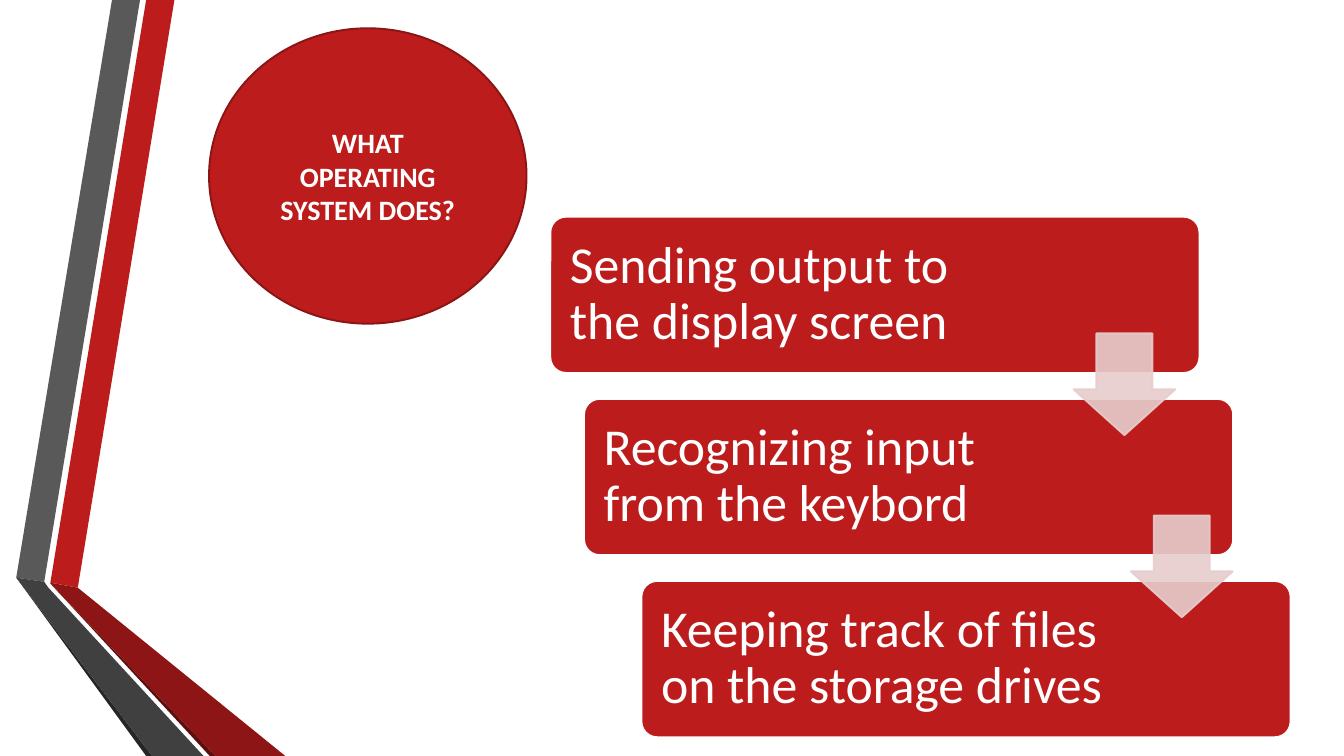
import pptx
import pptx.dml.color
import pptx.enum.shapes
import pptx.enum.text
import pptx.oxml.ns
import pptx.util
from lxml import etree

Pt = pptx.util.Pt
RGBColor = pptx.dml.color.RGBColor
MSO_SHAPE = pptx.enum.shapes.MSO_SHAPE
MIDDLE = pptx.enum.text.MSO_ANCHOR.MIDDLE
CENTER = pptx.enum.text.PP_ALIGN.CENTER

RED = RGBColor(0xBC, 0x1C, 0x1C)
OUTLINE_RED = RGBColor(0x8B, 0x15, 0x15)
DARK_RED = RGBColor(0x8D, 0x15, 0x15)
DEEP_RED = RGBColor(0x5E, 0x0E, 0x0E)
GRAY = RGBColor(0x59, 0x59, 0x59)
DARK_GRAY = RGBColor(0x40, 0x40, 0x40)
DEEP_GRAY = RGBColor(0x26, 0x26, 0x26)
PINK = RGBColor(0xE7, 0xCD, 0xCD)
WHITE = RGBColor(0xFF, 0xFF, 0xFF)

deck = pptx.Presentation()
deck.slide_width, deck.slide_height = Pt(960), Pt(540)
slide = deck.slides.add_slide(deck.slide_layouts[6])
shapes = slide.shapes


def add_filled(kind, left, top, width, height, fill, line):
    shape = shapes.add_shape(kind, Pt(left), Pt(top), Pt(width), Pt(height))
    shape.shadow.inherit = False
    shape.fill.solid()
    shape.fill.fore_color.rgb = fill
    shape.line.color.rgb = line
    shape.line.width = Pt(1.35)
    return shape


def add_white_run(paragraph, text, size, bold=False):
    run = paragraph.add_run()
    run.text = text
    run.font.name = "Calibri"
    run.font.size = Pt(size)
    run.font.bold = bold
    run.font.color.rgb = WHITE


# Folded ribbons along the left edge
ribbons = [
    (RED, [(36, 416.2), (55.6, 419.8), (124.6, 0), (104.4, 0)]),
    (GRAY, [(100, 0), (80, 0), (11.6, 412.6), (31.6, 415.6)]),
    (DEEP_GRAY, [(11.6, 412.6), (104.4, 540), (108.7, 540)]),
    (DEEP_RED, [(36, 416.8), (149.8, 540), (154, 540)]),
    (DARK_RED, [(36, 416.8), (154, 540), (203.8, 540), (55.6, 419.8), (36, 416.2)]),
    (DARK_GRAY, [(145.4, 540), (34.6, 419.8), (31.6, 415.6), (11.6, 412.6), (108.7, 540)]),
]
for color, corners in ribbons:
    start, *others = [(Pt(x), Pt(y)) for x, y in corners]
    outline = shapes.build_freeform(*start)
    outline.add_line_segments(others, close=True)
    ribbon = outline.convert_to_shape()
    ribbon.shadow.inherit = False
    ribbon.fill.solid()
    ribbon.fill.fore_color.rgb = color
    ribbon.line.fill.background()

# Question in the circle
circle = add_filled(MSO_SHAPE.OVAL, 149.3, 20.2, 226.8, 211, RED, OUTLINE_RED)
circle.text_frame.word_wrap = True
circle.text_frame.vertical_anchor = MIDDLE
question = circle.text_frame.paragraphs[0]
question.alignment = CENTER
add_white_run(question, "WHAT OPERATING SYSTEM DOES?", 20, bold=True)

# Staggered steps
FIRST_TOP, STEP_PITCH = 154.8, 130.1
steps = [
    (393.1, "Sending output to the display screen"),
    (417.2, "Recognizing input from the keybord"),
    (458.2, "Keeping track of files on the storage drives"),
]
for index, (left, wording) in enumerate(steps):
    top = FIRST_TOP + index * STEP_PITCH
    box = add_filled(MSO_SHAPE.ROUNDED_RECTANGLE, left, top, 463.7, 111.6, RED, WHITE)
    box.adjustments[0] = 0.1
    label = shapes.add_textbox(Pt(left + 3.2), Pt(top + 3.2), Pt(343.2), Pt(105.1))
    frame = label.text_frame
    frame.word_wrap = True
    frame.vertical_anchor = MIDDLE
    frame.margin_left = frame.margin_right = Pt(10.8)
    frame.margin_top = frame.margin_bottom = Pt(10.8)
    frame.paragraphs[0].line_spacing = 0.9
    add_white_run(frame.paragraphs[0], wording, 37)

# Translucent arrows leading to the next step
for index, left in enumerate((766.8, 807.8)):
    top = FIRST_TOP + 83.3 + index * STEP_PITCH
    arrow = add_filled(MSO_SHAPE.DOWN_ARROW, left, top, 72.7, 72.7, PINK, PINK)
    arrow.adjustments[0] = 0.55
    arrow.adjustments[1] = 0.45
    for color in arrow.element.spPr.iter(pptx.oxml.ns.qn("a:srgbClr")):
        etree.SubElement(color, pptx.oxml.ns.qn("a:alpha"), val="90000")

deck.save("out.pptx")
